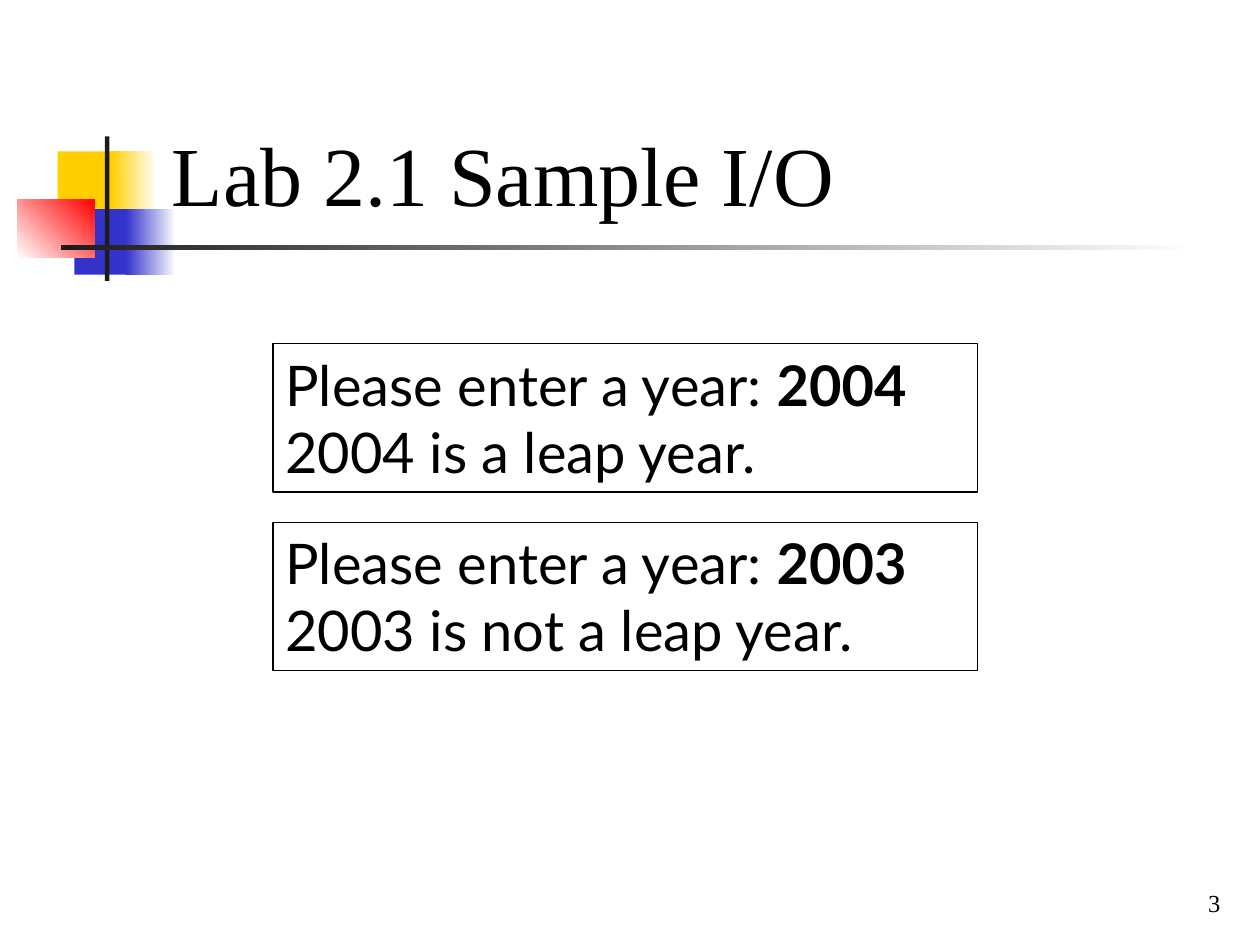
"""Build the Lab 2.1 sample input and output slide."""
from pptx import Presentation
from pptx.dml.color import RGBColor
from pptx.enum.shapes import MSO_SHAPE
from pptx.enum.text import MSO_ANCHOR, MSO_AUTO_SIZE, PP_ALIGN
from pptx.util import Pt

RECT = MSO_SHAPE.RECTANGLE
BOTTOM, TOP = MSO_ANCHOR.BOTTOM, MSO_ANCHOR.TOP
LEFT, RIGHT = PP_ALIGN.LEFT, PP_ALIGN.RIGHT
NO_FIT, GROW = MSO_AUTO_SIZE.NONE, MSO_AUTO_SIZE.SHAPE_TO_FIT_TEXT

BLACK = RGBColor(0x00, 0x00, 0x00)
WHITE = RGBColor(0xFF, 0xFF, 0xFF)
YELLOW = RGBColor(0xFF, 0xCF, 0x01)
BLUE = RGBColor(0x33, 0x33, 0xCC)
RED = RGBColor(0xFF, 0x00, 0x00)
CHARCOAL = RGBColor(0x1C, 0x1C, 0x1C)
SERIF, SANS = "Times New Roman", "Lato"


def add_run(paragraph, text, size, font, bold=False):
    run = paragraph.add_run()
    run.text = text
    run.font.size = Pt(size)
    run.font.name = font
    run.font.bold = bold
    run.font.color.rgb = BLACK


def add_rect(left, top, width, height):
    rect = slide.shapes.add_shape(RECT, Pt(left), Pt(top), Pt(width), Pt(height))
    rect.shadow.inherit = False
    return rect


prs = Presentation()
prs.slide_width, prs.slide_height = Pt(720), Pt(540)
slide = prs.slides.add_slide(prs.slide_layouts[5])

ornaments = [
    ((33, 86.5, 34.5, 37.5), [YELLOW], 0),
    ((63.5, 86.5, 26, 37.5), [YELLOW, WHITE], 0),
    ((42.5, 119.5, 33, 37.5), [BLUE], 0),
    ((72, 119.5, 28.5, 37.5), [BLUE, WHITE], 0),
    ((10, 113.75, 44, 33.5), [WHITE, RED], 45),
    ((60, 78, 2.5, 82.5), [CHARCOAL], 0),
    ((34.75, 140.25, 648, 2.5), [CHARCOAL, WHITE], 0),
]
for box, colors, angle in ornaments:
    ornament = add_rect(*box)
    ornament.line.fill.background()
    if len(colors) == 1:
        ornament.fill.solid()
        ornament.fill.fore_color.rgb = colors[0]
    else:
        ornament.fill.gradient()
        ornament.fill.gradient_angle = angle
        for stop, color, position in zip(ornament.fill.gradient_stops, colors, (0, 1)):
            stop.color.rgb = color
            stop.position = position

title = slide.shapes.title
slide.shapes._spTree.append(title._element)
title.left, title.top, title.width, title.height = Pt(91), Pt(16.5), Pt(613.5), Pt(115)
title.text_frame.vertical_anchor = BOTTOM
title.text_frame.auto_size = NO_FIT
heading = title.text_frame.paragraphs[0]
heading.alignment = LEFT
add_run(heading, "Lab 2.1 Sample I/O", 48, SERIF)

page_number = slide.shapes.add_textbox(Pt(554.5), Pt(492), Pt(150), Pt(36)).text_frame
page_number.word_wrap = True
page_number.vertical_anchor = BOTTOM
page_number.paragraphs[0].alignment = RIGHT
add_run(page_number.paragraphs[0], "3", 14, SERIF)

samples = [("2004", "2004 is a leap year. "), ("2003", "2003 is not a leap year. ")]
for index, (year, answer) in enumerate(samples):
    sample = add_rect(156, 196.5 + index * 102, 402.5, 84.75)
    sample.fill.background()
    sample.line.color.rgb = BLACK
    sample.line.width = Pt(0.75)
    console = sample.text_frame
    console.word_wrap = True
    console.auto_size = GROW
    console.vertical_anchor = TOP
    prompt = console.paragraphs[0]
    add_run(prompt, "Please enter a year: ", 32, SANS)
    add_run(prompt, year, 32, SANS, bold=True)
    result = console.add_paragraph()
    add_run(result, answer, 32, SANS)
    prompt.alignment = result.alignment = LEFT

prs.save("out.pptx")
